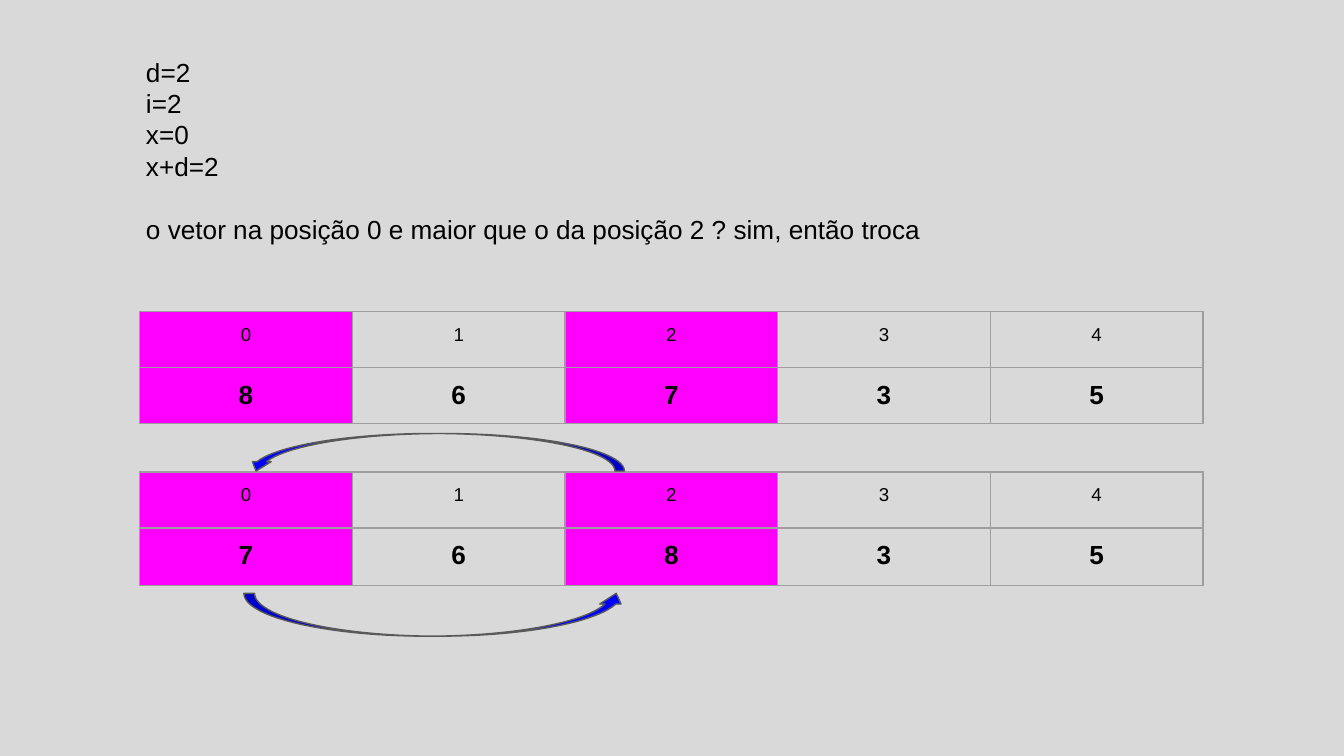
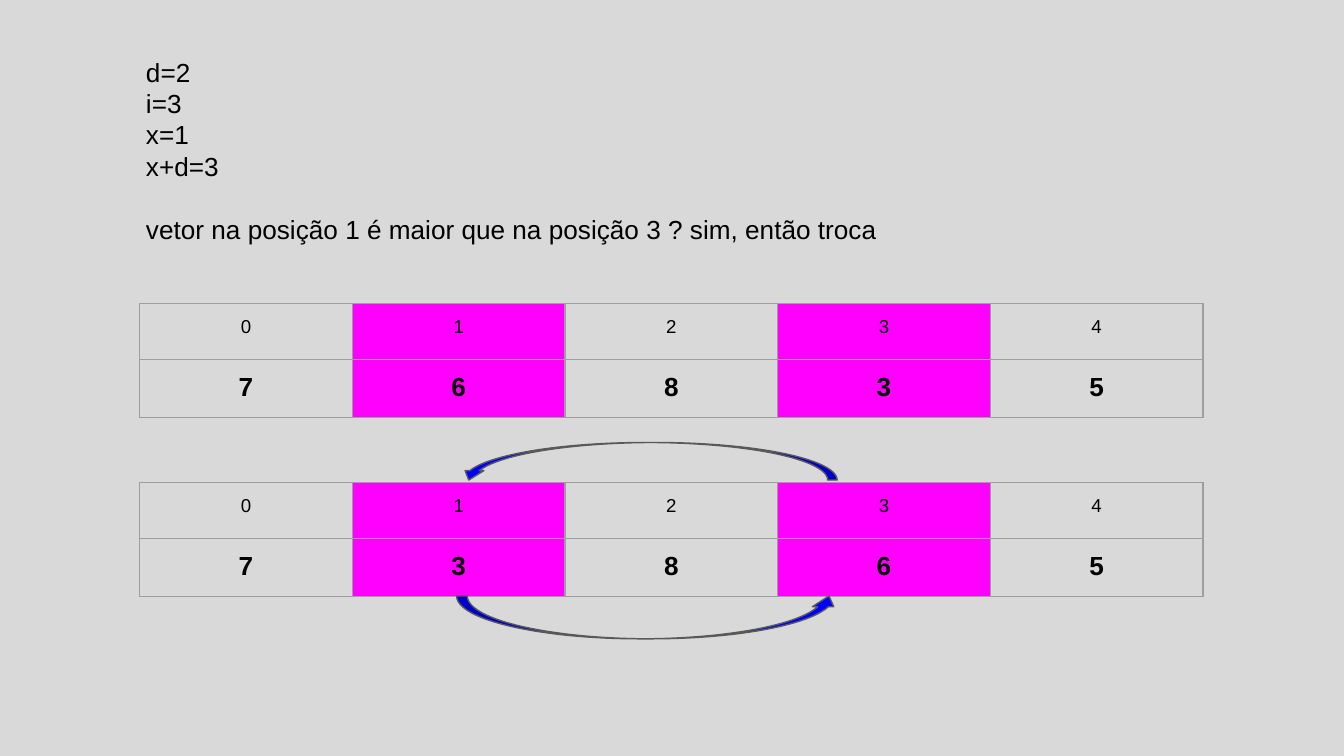
from dataclasses import dataclass

from lxml.etree import SubElement
from pptx import Presentation
from pptx.dml.color import RGBColor
from pptx.enum.shapes import MSO_SHAPE
from pptx.enum.text import PP_ALIGN
from pptx.oxml.ns import qn
from pptx.util import Cm, Pt


@dataclass(frozen=True)
class Theme:
    font: str = "Arial"
    text: RGBColor = RGBColor(0, 0, 0)
    background: RGBColor = RGBColor(0xD9, 0xD9, 0xD9)
    highlight: RGBColor = RGBColor(0xFF, 0, 0xFF)
    arrow: RGBColor = RGBColor(0, 0, 0xFF)
    arrow_line: RGBColor = RGBColor(0x59, 0x59, 0x59)
    border: str = "9E9E9E"
    line_width: Pt = Pt(0.75)
    body_size: Pt = Pt(14)
    index_size: Pt = Pt(10)
    question_gap: Pt = Pt(16.8)


THEME = Theme()
INSET = Cm(0.25)
VECTOR_LEFT, COLUMN_WIDTH, ROW_HEIGHT = Cm(2.64), Cm(4.02), Cm(1.06)
ARROW_SHIFT = Cm(-0.44)

STEPS = [
    {
        "state": ["d=2", "i=2", "x=0", "x+d=2"],
        "question": "o vetor na posição 0 e maior que o da posição 2 ? sim, então troca",
        "compared": (0, 2),
        "before": [8, 6, 7, 3, 5],
        "before_top": Cm(5.89),
        "after_top": Cm(8.92),
        "arrow_heights": (Cm(8.55), Cm(11.62)),
    },
    {
        "state": ["d=2", "i=3", "x=1", "x+d=3"],
        "question": "vetor na posição 1 é maior que na posição 3 ? sim, então troca",
        "compared": (1, 3),
        "before": [7, 6, 8, 3, 5],
        "before_top": Cm(5.74),
        "after_top": Cm(9.12),
        "arrow_heights": (Cm(8.72), Cm(11.67)),
    },
]


def apply_format(target, values):
    for name, value in values.items():
        setattr(target, name, value)


def write(paragraph, text, size, bold=False):
    run = paragraph.add_run()
    run.text = str(text)
    apply_format(run.font, {"name": THEME.font, "size": size, "bold": bold})
    run.font.color.rgb = THEME.text


def set_insets(frame):
    sides = ("margin_left", "margin_top", "margin_right", "margin_bottom")
    apply_format(frame, dict.fromkeys(sides, INSET))


def add_explanation(slide, state, question):
    frame = slide.shapes.add_textbox(Cm(2.51), Cm(0.81), Cm(20.37), Cm(2.39)).text_frame
    frame.word_wrap = True
    set_insets(frame)
    for number, line in enumerate([*state, question]):
        paragraph = frame.add_paragraph() if number else frame.paragraphs[0]
        write(paragraph, line, THEME.body_size)
    paragraph.space_before = THEME.question_gap


def add_borders(cell):
    properties = cell._tc.get_or_add_tcPr()
    for side in ("a:lnL", "a:lnR", "a:lnT", "a:lnB"):
        border = SubElement(properties, qn(side), w=str(THEME.line_width))
        fill = SubElement(border, qn("a:solidFill"))
        SubElement(fill, qn("a:srgbClr"), val=THEME.border)


def fill_cell(cell, text, size, bold, highlighted):
    set_insets(cell)
    add_borders(cell)
    if highlighted:
        cell.fill.solid()
        cell.fill.fore_color.rgb = THEME.highlight
    else:
        cell.fill.background()
    paragraph = cell.text_frame.paragraphs[0]
    paragraph.alignment = PP_ALIGN.CENTER
    write(paragraph, text, size, bold)


def add_vector(slide, top, values, compared):
    """Draw the indices over the values, with the compared positions highlighted."""
    count = len(values)
    table = slide.shapes.add_table(
        2, count, VECTOR_LEFT, top, COLUMN_WIDTH * count, ROW_HEIGHT * 2
    ).table
    apply_format(table, {"first_row": False, "horz_banding": False})
    for column in table.columns:
        column.width = COLUMN_WIDTH
    for row in table.rows:
        row.height = ROW_HEIGHT
    for index, value in enumerate(values):
        highlighted = index in compared
        fill_cell(table.cell(0, index), index, THEME.index_size, False, highlighted)
        fill_cell(table.cell(1, index), value, THEME.body_size, True, highlighted)


def add_swap_arrow(slide, center_x, center_y, thickness, length, rotation):
    arrow = slide.shapes.add_shape(
        MSO_SHAPE.CURVED_RIGHT_ARROW,
        center_x - thickness // 2, center_y - length // 2, thickness, length,
    )
    arrow.rotation = rotation
    arrow.shadow.inherit = False
    arrow.fill.solid()
    arrow.fill.fore_color.rgb = THEME.arrow
    arrow.line.color.rgb = THEME.arrow_line
    arrow.line.width = THEME.line_width


def swapped(values, first, second):
    result = list(values)
    result[first], result[second] = result[second], result[first]
    return result


def add_step(deck, step):
    slide = deck.slides.add_slide(deck.slide_layouts[6])
    slide.background.fill.solid()
    slide.background.fill.fore_color.rgb = THEME.background

    compared = step["compared"]
    add_vector(slide, step["before_top"], step["before"], compared)
    add_explanation(slide, step["state"], step["question"])
    add_vector(slide, step["after_top"], swapped(step["before"], *compared), compared)

    swap_center = VECTOR_LEFT + COLUMN_WIDTH * (sum(compared) + 1) // 2 + ARROW_SHIFT
    upper, lower = step["arrow_heights"]
    add_swap_arrow(slide, swap_center, upper, Cm(0.71), Cm(7.14), 90)
    add_swap_arrow(slide, swap_center, lower, Cm(0.81), Cm(7.24), 270)


def main():
    deck = Presentation()
    apply_format(deck, {"slide_width": Cm(25.4), "slide_height": Cm(14.29)})
    for step in STEPS:
        add_step(deck, step)
    deck.save("out.pptx")


if __name__ == "__main__":
    main()
